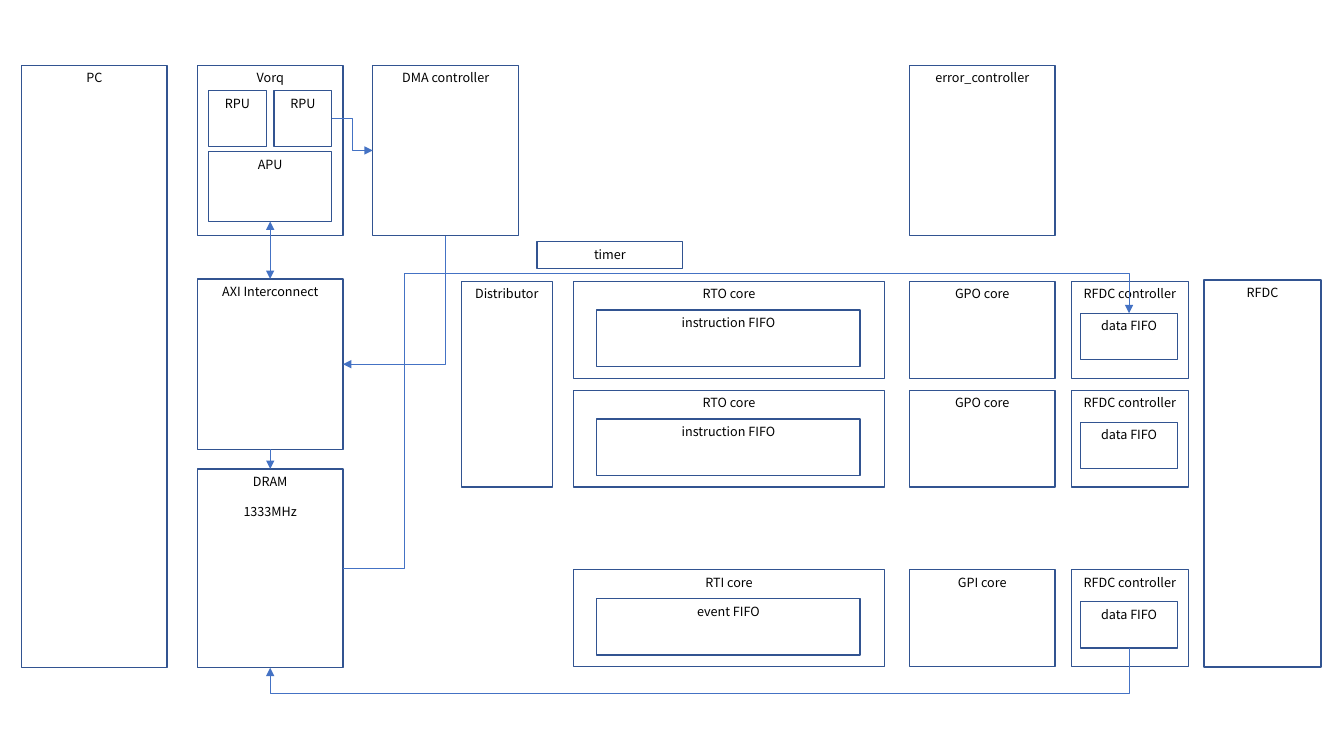
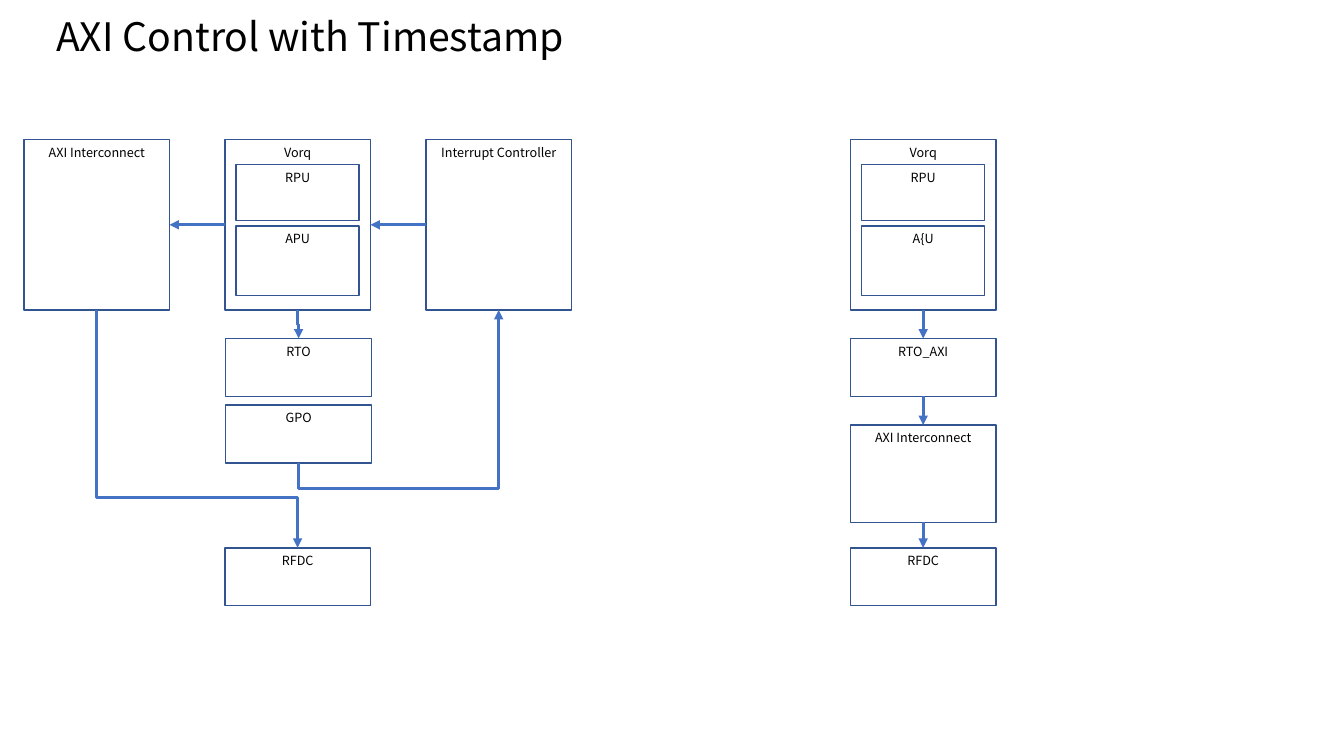
import pptx
import pptx.dml.color
import pptx.enum.shapes
import pptx.enum.text
import pptx.oxml
import pptx.oxml.ns
import pptx.util
from lxml import etree

Pt = pptx.util.Pt
qn = pptx.oxml.ns.qn

# Shared style
FONT = "Noto Sans CJK KR"
TEXT, OUTLINE, ARROW = "000000", "325491", "4472C4"
THIN, THICK = 0.5, 2.25
BLOCK_WIDTH, BLOCK_HEIGHT = 104, 121.8
CORE_HEIGHT = 69.2
SMALL_HEIGHT = 41.3
# Connection sites of a rectangle
TOP, LEFT, BOTTOM, RIGHT = range(4)


def color(value):
    return pptx.dml.color.RGBColor.from_string(value)


def set_font(para, size):
    para.font.name = FONT
    para.font.size = Pt(size)
    para.font.color.rgb = color(TEXT)


def add_title(page, text):
    box = page.shapes.add_textbox(Pt(33), Pt(10), Pt(828), Pt(37.4))
    frame = box.text_frame
    frame.word_wrap = True
    frame.vertical_anchor = pptx.enum.text.MSO_ANCHOR.MIDDLE
    para = frame.paragraphs[0]
    para.text = text
    para.line_spacing = 0.8
    set_font(para, 28)


def add_block(page, text, left, top, width=BLOCK_WIDTH, height=BLOCK_HEIGHT):
    """Draw an unfilled block; each line of text is a paragraph."""
    block = page.shapes.add_shape(
        pptx.enum.shapes.MSO_SHAPE.RECTANGLE, Pt(left), Pt(top), Pt(width), Pt(height))
    block.shadow.inherit = False
    block.fill.background()
    block.line.color.rgb = color(OUTLINE)
    block.line.width = Pt(1)
    frame = block.text_frame
    frame.word_wrap = True
    frame.vertical_anchor = pptx.enum.text.MSO_ANCHOR.TOP
    frame.text = text
    for index, para in enumerate(frame.paragraphs):
        para.alignment = pptx.enum.text.PP_ALIGN.CENTER
        set_font(para, 9)
        if index:
            para.space_before = Pt(10.8)
    return block


def add_core(page, name, fifo, top):
    add_block(page, name, 409.7, top, 222, CORE_HEIGHT)
    add_block(page, fifo, 426.3, top + 20.5, 188, 40.4)


def add_rfdc_controller(page, top):
    add_block(page, "RFDC controller", 765.2, top, 83.6, CORE_HEIGHT)
    return add_block(page, "data FIFO", 771.9, top + 22.8, 69.2, 33.2)


def add_processor(page, left, top, rpu_count=1, apu_name="APU"):
    """Draw the processor block and return it with its last RPU and its APU."""
    inner_left, inner_width, gap = left + 8, 88, 5.6
    rpu_width = (inner_width - gap * (rpu_count - 1)) / rpu_count
    processor = add_block(page, "Vorq", left, top)
    for index in range(rpu_count):
        rpu = add_block(page, "RPU", inner_left + index * (rpu_width + gap),
                        top + 18, rpu_width, 40)
    apu = add_block(page, apu_name, inner_left, top + 61.8, inner_width, 49.8)
    return processor, rpu, apu


def connect(page, source, source_side, target, target_side, weight,
            preset="bentConnector3", bends=(), both_ends=False):
    """Join two blocks by an arrow; bends are percentages along the route."""
    link = page.shapes.add_connector(
        pptx.enum.shapes.MSO_CONNECTOR.ELBOW, 0, 0, 0, 0)
    link.begin_connect(source, source_side)
    link.end_connect(target, target_side)
    properties = link._element.spPr

    # A route that leaves vertically is a horizontal one turned by 90 degrees
    if source_side in (TOP, BOTTOM) and preset != "line":
        across, down = link.end_x - link.begin_x, link.end_y - link.begin_y
        center_x = (link.begin_x + link.end_x) // 2
        center_y = (link.begin_y + link.end_y) // 2
        link.width, link.height = abs(down), abs(across)
        link.left = center_x - link.width // 2
        link.top = center_y - link.height // 2
        frame = properties.find(qn("a:xfrm"))
        frame.set("rot", "5400000")
        frame.set("flipH", str(int(down < 0)))
        frame.set("flipV", str(int(across > 0)))

    # Route
    geometry = properties.find(qn("a:prstGeom"))
    geometry.set("prst", preset)
    guides = geometry.find(qn("a:avLst"))
    if guides is None:
        guides = etree.SubElement(geometry, qn("a:avLst"))
    for number, percent in enumerate(bends, 1):
        etree.SubElement(guides, qn("a:gd"), name=f"adj{number}",
                         fmla=f"val {round(percent * 1000)}")

    # Line and arrowheads
    link.line.color.rgb = color(ARROW)
    link.line.width = Pt(weight)
    line = properties.find(qn("a:ln"))
    for end in ("a:headEnd", "a:tailEnd")[0 if both_ends else 1:]:
        etree.SubElement(line, qn(end), type="triangle")
    etree.SubElement(properties, qn("a:effectLst"))


def build_architecture(page):
    # Processing system
    top, left = 46.6, 141
    add_block(page, "PC", 15.4, top, height=430.2)
    _, rpu, apu = add_processor(page, left, top, rpu_count=2)
    dma = add_block(page, "DMA controller", 266.3, top)
    interconnect = add_block(page, "AXI Interconnect", left, 199.2)
    dram = add_block(page, "DRAM\n1333MHz", left, 335, height=142)

    # Real-time cores
    gpio_left = 649.6
    add_block(page, "error_controller", gpio_left, top)
    add_block(page, "timer", 383.6, 172.7, height=19.2)
    add_block(page, "Distributor", 329.5, 201, 65, 147)
    add_block(page, "RFDC", 860, 200, 83.6, 276.4)
    rows = [
        (201, "RTO core", "instruction FIFO", "GPO core"),
        (278.8, "RTO core", "instruction FIFO", "GPO core"),
        (407, "RTI core", "event FIFO", "GPI core"),
    ]
    data_fifos = []
    for row_top, core, fifo, gpio in rows:
        add_core(page, core, fifo, row_top)
        add_block(page, gpio, gpio_left, row_top, height=CORE_HEIGHT)
        data_fifos.append(add_rfdc_controller(page, row_top))

    # Data paths
    connect(page, rpu, RIGHT, dma, LEFT, THIN)
    connect(page, apu, BOTTOM, interconnect, TOP, THIN, "line", both_ends=True)
    connect(page, dma, BOTTOM, interconnect, RIGHT, THIN, "bentConnector2")
    connect(page, interconnect, BOTTOM, dram, TOP, THIN)
    connect(page, dram, RIGHT, data_fifos[0], TOP, THIN,
            "bentConnector4", (7.8, 115.5))
    connect(page, data_fifos[-1], BOTTOM, dram, BOTTOM, THIN, bends=(228,))


def build_timestamp_control(page):
    add_title(page, "AXI Control with Timestamp")
    top, rto_top, rfdc_top = 99.7, 241.8, 391.3

    # Control through an interrupt
    left = 160.6
    interconnect = add_block(page, "AXI Interconnect", 17.1, top)
    processor, _, _ = add_processor(page, left, top)
    interrupt = add_block(page, "Interrupt Controller", 304.2, top)
    rto = add_block(page, "RTO", left + 0.7, rto_top, height=SMALL_HEIGHT)
    gpo = add_block(page, "GPO", left + 0.7, 289.4, height=SMALL_HEIGHT)
    rfdc = add_block(page, "RFDC", left, rfdc_top, height=SMALL_HEIGHT)
    connect(page, interrupt, LEFT, processor, RIGHT, THICK, "line")
    connect(page, processor, LEFT, interconnect, RIGHT, THICK, "line")
    connect(page, processor, BOTTOM, rto, TOP, THICK)
    connect(page, gpo, BOTTOM, interrupt, BOTTOM, THICK, bends=(-16.5,))
    connect(page, interconnect, BOTTOM, rfdc, TOP, THICK, bends=(79,))

    # Control through RTO_AXI
    left = 607.4
    processor, _, _ = add_processor(page, left, top, apu_name="A{U")
    chain = [
        processor,
        add_block(page, "RTO_AXI", left, rto_top, height=SMALL_HEIGHT),
        add_block(page, "AXI Interconnect", left, 303.6, height=69.6),
        add_block(page, "RFDC", left, rfdc_top, height=SMALL_HEIGHT),
    ]
    for source, target in zip(chain, chain[1:]):
        connect(page, source, BOTTOM, target, TOP, THICK, "line")


def main():
    deck = pptx.Presentation()
    deck.slide_width, deck.slide_height = Pt(960), Pt(540)
    for build in (build_architecture, build_timestamp_control):
        build(deck.slides.add_slide(deck.slide_layouts[6]))
    deck.save("out.pptx")


if __name__ == "__main__":
    main()
